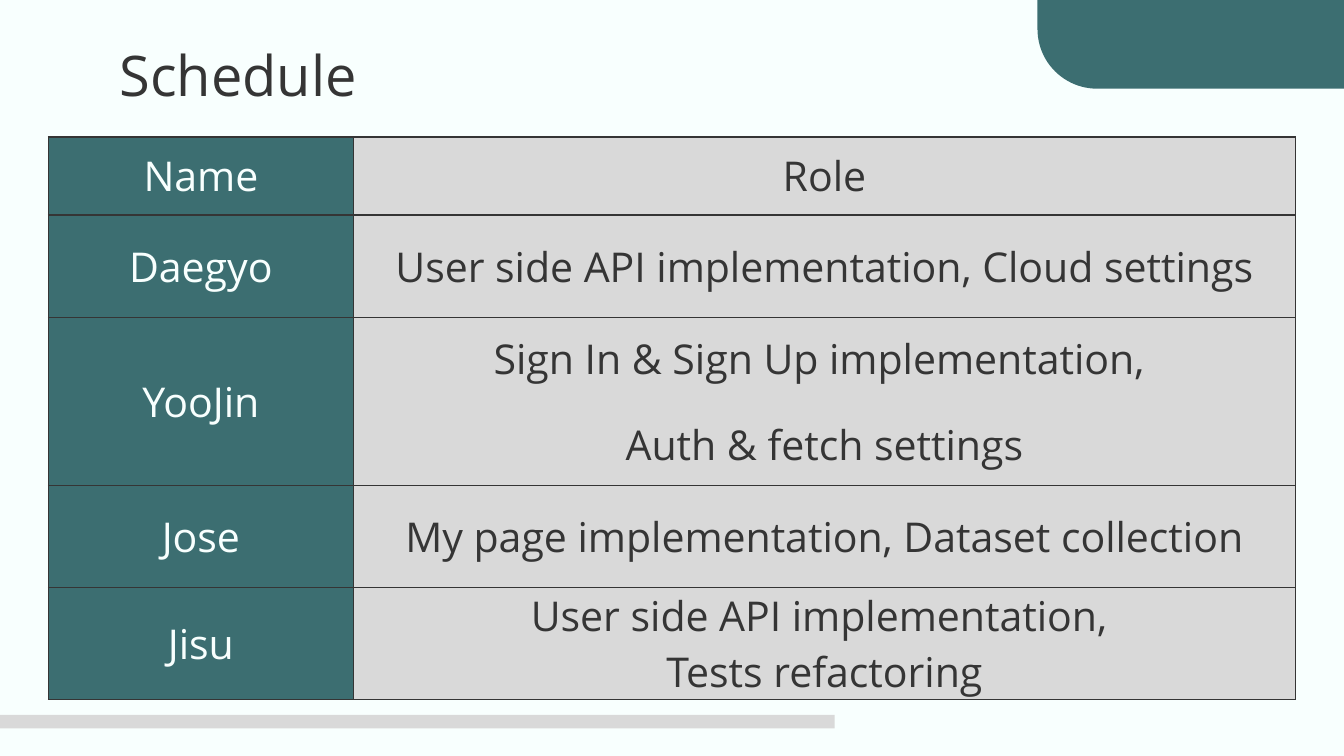
from dataclasses import dataclass

from lxml.etree import SubElement
from pptx import Presentation
from pptx.dml.color import RGBColor
from pptx.enum.shapes import MSO_SHAPE
from pptx.enum.text import MSO_ANCHOR, MSO_AUTO_SIZE, PP_ALIGN
from pptx.oxml.ns import qn
from pptx.util import Inches, Pt


@dataclass(frozen=True)
class Theme:
    font: str = "Open Sans"
    background: str = "F8FFFE"
    teal: str = "3C6E71"
    grey: str = "D9D9D9"
    ink: str = "353535"
    title_size: int = 30
    table_size: int = 22
    border_width: float = 0.75


theme = Theme()


def style_text(paragraph, size, color):
    paragraph.font.name = theme.font
    paragraph.font.size = Pt(size)
    paragraph.font.color.rgb = RGBColor.from_string(color)


def add_borders(cell):
    properties = cell._tc.get_or_add_tcPr()
    for index, side in enumerate(("lnL", "lnR", "lnT", "lnB")):
        line = properties.makeelement(qn(f"a:{side}"), {"w": str(Pt(theme.border_width))})
        fill = SubElement(line, qn("a:solidFill"))
        SubElement(fill, qn("a:srgbClr"), val=theme.ink)
        # Borders must come before the cell's fill
        properties.insert(index, line)


prs = Presentation()
prs.slide_width, prs.slide_height = Inches(10), Inches(10 * 9 / 16)
slide = prs.slides.add_slide(prs.slide_layouts[5])
slide.background.fill.solid()
slide.background.fill.fore_color.rgb = RGBColor.from_string(theme.background)

# Decoration
corner = slide.shapes.add_shape(
    MSO_SHAPE.ROUNDED_RECTANGLE, Inches(7.72), Inches(-0.87), Inches(3), Inches(1.53))
corner.adjustments[0] = 0.29
footer_bar = slide.shapes.add_shape(
    MSO_SHAPE.RECTANGLE, 0, Inches(5.32), Inches(6.21), Inches(0.1))
for decoration, color in ((corner, theme.teal), (footer_bar, theme.grey)):
    decoration.shadow.inherit = False
    decoration.fill.solid()
    decoration.fill.fore_color.rgb = RGBColor.from_string(color)
    decoration.line.fill.background()

# Title
title = slide.shapes.title
title.left, title.top = Inches(0.79), Inches(0.2)
title.width, title.height = Inches(8.43), Inches(0.63)
heading = title.text_frame
heading.text = "Schedule"
heading.auto_size = MSO_AUTO_SIZE.NONE
heading.vertical_anchor = MSO_ANCHOR.TOP
heading.margin_left = heading.margin_right = Inches(0.1)
heading.margin_top = heading.margin_bottom = Inches(0.1)
heading.paragraphs[0].alignment = PP_ALIGN.LEFT
style_text(heading.paragraphs[0], theme.title_size, theme.ink)

# Roles: name, lines of the role, row height, space between the lines
roles = [
    ("Name", ["Role"], 0.58, 0),
    ("Daegyo", ["User side API implementation, Cloud settings"], 0.76, 0),
    ("YooJin", ["Sign In & Sign Up implementation, ", "Auth & fetch settings"], 1.25, 16),
    ("Jose", ["My page implementation, Dataset collection"], 0.76, 0),
    ("Jisu", ["User side API implementation, ", "Tests refactoring"], 0.79, 0),
]
column_colors = [(theme.teal, theme.background), (theme.grey, theme.ink)]

schedule = slide.shapes.add_table(
    len(roles), 2, Inches(0.36), Inches(1.02), Inches(9.28), Inches(4.15)).table
schedule.columns[0].width = Inches(2.27)
schedule.columns[1].width = Inches(7.01)

for row, (name, role_lines, height, gap) in enumerate(roles):
    schedule.rows[row].height = Inches(height)
    for column, lines in enumerate(([name], role_lines)):
        fill_color, text_color = column_colors[column]
        cell = schedule.cell(row, column)
        cell.fill.solid()
        cell.fill.fore_color.rgb = RGBColor.from_string(fill_color)
        add_borders(cell)
        cell.vertical_anchor = MSO_ANCHOR.MIDDLE
        cell.margin_left = cell.margin_right = Inches(0.1)
        cell.margin_top = cell.margin_bottom = 0
        cell.text = "\n".join(lines)
        for index, paragraph in enumerate(cell.text_frame.paragraphs):
            paragraph.alignment = PP_ALIGN.CENTER
            if index:
                paragraph.space_before = Pt(gap)
            style_text(paragraph, theme.table_size, text_color)

prs.save("out.pptx")
